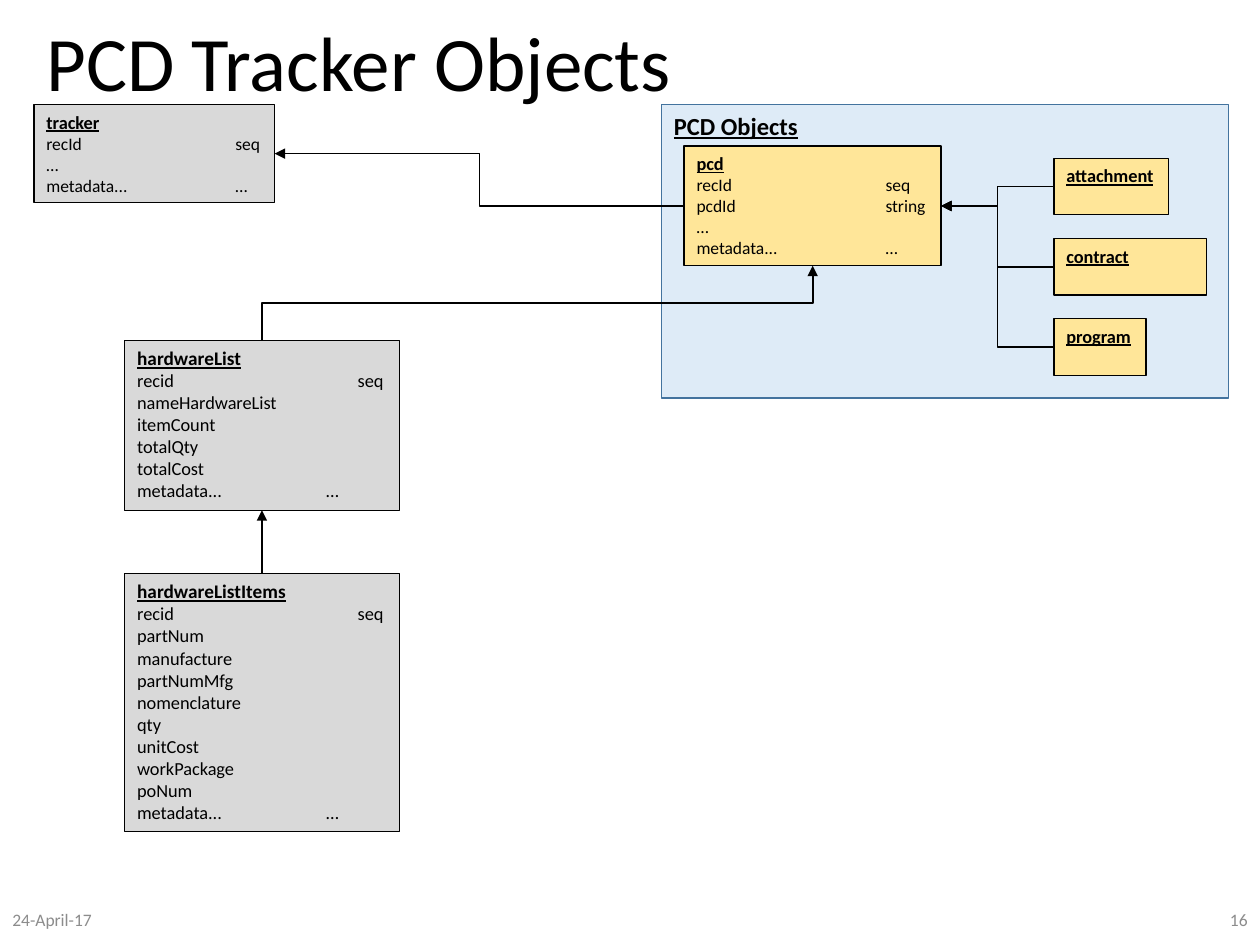
from lxml import etree
from pptx import Presentation
from pptx import util as u
from pptx.dml.color import RGBColor
from pptx.enum import shapes, text
from pptx.oxml import ns

CELL = 0.25
BLACK, GREY, YELLOW = "000000", "D9D9D9", "FFE699"
TOP, LEFT, BOTTOM, RIGHT = range(4)


def grid(*cells):
    """Turn columns and rows of the 40 by 30 grid into lengths."""
    return [u.Inches(c * CELL) for c in cells]


def color(hex_code):
    """Return the colour for a hex string."""
    return RGBColor.from_string(hex_code)


def style(p, size, hex_code=BLACK, heading=False):
    """Set the font of a paragraph."""
    f = p.font
    f.name, f.size, f.color.rgb = "Calibri", u.Pt(size), color(hex_code)
    f.bold = f.underline = heading


def add_label(s, at, words, size, hex_code=BLACK, align=text.PP_ALIGN.LEFT):
    """Add a one-line text box, centred vertically."""
    tf = s.shapes.add_textbox(*grid(*at)).text_frame
    tf.word_wrap = True
    tf.vertical_anchor = text.MSO_ANCHOR.MIDDLE
    p = tf.paragraphs[0]
    p.text, p.alignment = words, align
    style(p, size, hex_code)
    return p


def add_tab(p, inches):
    """Give a paragraph a left tab stop."""
    tabs = etree.Element(ns.qn("a:tabLst"))
    etree.SubElement(tabs, ns.qn("a:tab"), pos=str(u.Inches(inches)), algn="l")
    p._p.get_or_add_pPr().insert(0, tabs)


def add_box(s, at, name, fields=(), sizes=(10.5, 10), fill=GREY,
            line=(BLACK, 0.75), seq_tab=1.5):
    """Add an object box with an underlined name above its fields."""
    sp = s.shapes.add_shape(shapes.MSO_SHAPE.RECTANGLE, *grid(*at))
    sp.shadow.inherit = False
    sp.fill.solid()
    sp.fill.fore_color.rgb = color(fill)
    sp.line.color.rgb, sp.line.width = color(line[0]), u.Pt(line[1])
    tf = sp.text_frame
    tf.word_wrap = True
    tf.vertical_anchor = text.MSO_ANCHOR.TOP
    tf.text = "\n".join([name, *fields])
    for i, p in enumerate(tf.paragraphs):
        p.alignment = text.PP_ALIGN.LEFT
        style(p, sizes[min(i, 1)], heading=i == 0)
        if "\t" in p.text:
            add_tab(p, seq_tab if p.text.endswith("seq") else 1.5)
    return sp


def add_arrow(s, start, start_side, end, end_side):
    """Join two boxes with an elbow arrow."""
    c = s.shapes.add_connector(shapes.MSO_CONNECTOR.ELBOW, 0, 0, 0, 0)
    c.begin_connect(start, start_side)
    c.end_connect(end, end_side)
    if start_side == TOP:
        turn_upward(c)
    c.line.color.rgb, c.line.width = color(BLACK), u.Pt(1)
    etree.SubElement(c.line._get_or_add_ln(), ns.qn("a:tailEnd"), type="triangle")
    etree.SubElement(c._element.spPr, ns.qn("a:effectLst"))


def turn_upward(c):
    """Rotate an elbow so that it leaves and arrives vertically."""
    x, y = (c.begin_x + c.end_x) // 2, (c.begin_y + c.end_y) // 2
    half_w = abs(c.begin_y - c.end_y) // 2
    half_h = abs(c.begin_x - c.end_x) // 2
    c.begin_x, c.begin_y = x + half_w, y + half_h
    c.end_x, c.end_y = x - half_w, y - half_h
    c._element.spPr.find(ns.qn("a:xfrm")).set("rot", "5400000")


def main():
    """Build the slide of tracker objects."""
    prs = Presentation()
    prs.slide_width, prs.slide_height = grid(40, 30)
    s = prs.slides.add_slide(prs.slide_layouts[6])

    add_box(s, (21, 3.32, 18, 9.32), "PCD Objects", sizes=(14, 10),
            fill="DEEBF7", line=("43739E", 1))
    title = add_label(s, (1.08, 0.36, 34.48, 3.48), "PCD Tracker Objects", 44)
    title.line_spacing = 0.9
    add_label(s, (0, 28.4, 9, 1.6), "24-April-17", 10, "8C8C8C")
    add_label(s, (31, 28.4, 9, 1.6), "16", 10, "8C8C8C", text.PP_ALIGN.RIGHT)

    meta = "metadata...\t…"
    pcd = add_box(s, (21.72, 4.64, 8.16, 3.8), "pcd",
                  ["recId\tseq", "pcdId\tstring", "…", meta], fill=YELLOW)
    tracker = add_box(s, (1.08, 3.32, 7.64, 3.12), "tracker",
                      ["recId\tseq", "…", meta])
    hardware = add_box(s, (3.96, 10.8, 8.72, 5.4), "hardwareList",
                       ["recid\tseq", "nameHardwareList", "itemCount",
                        "totalQty", "totalCost", meta], (11, 10.5), seq_tab=1.75)
    items = add_box(s, (3.96, 18.2, 8.72, 8.2), "hardwareListItems",
                    ["recid\tseq", "partNum", "manufacture", "partNumMfg",
                     "nomenclature", "qty", "unitCost", "workPackage", "poNum",
                     meta], (11, 10.5), seq_tab=1.75)

    add_arrow(s, pcd, LEFT, tracker, RIGHT)
    add_arrow(s, items, TOP, hardware, BOTTOM)
    add_arrow(s, hardware, TOP, pcd, BOTTOM)
    children = [("attachment", 3.64), ("contract", 4.84), ("program", 2.92)]
    for i, (name, width) in enumerate(children):
        child = add_box(s, (33.46, 5.02 + 2.55 * i, width, 1.8), name, fill=YELLOW)
        add_arrow(s, child, LEFT, pcd, RIGHT)

    prs.save("out.pptx")


if __name__ == "__main__":
    main()
